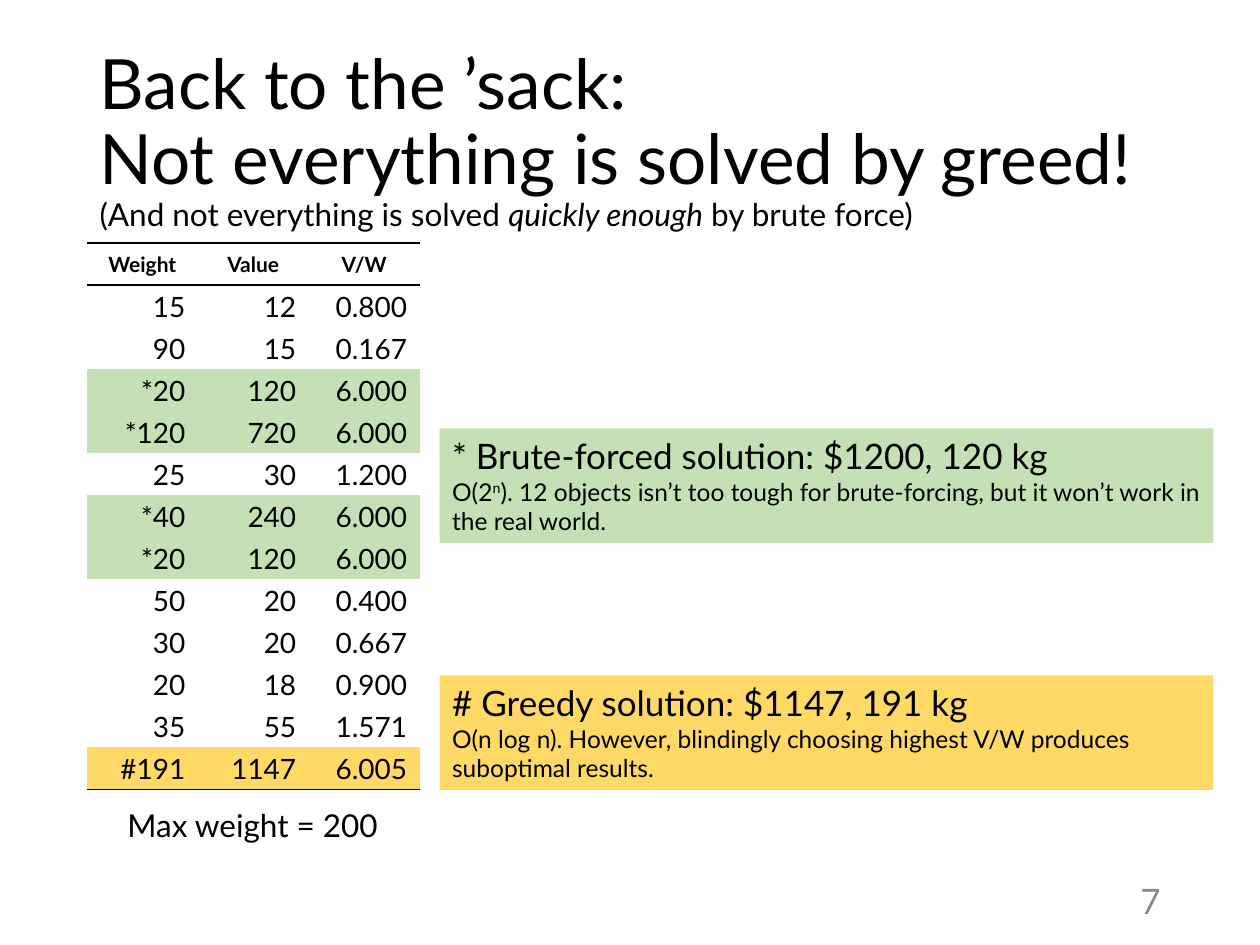
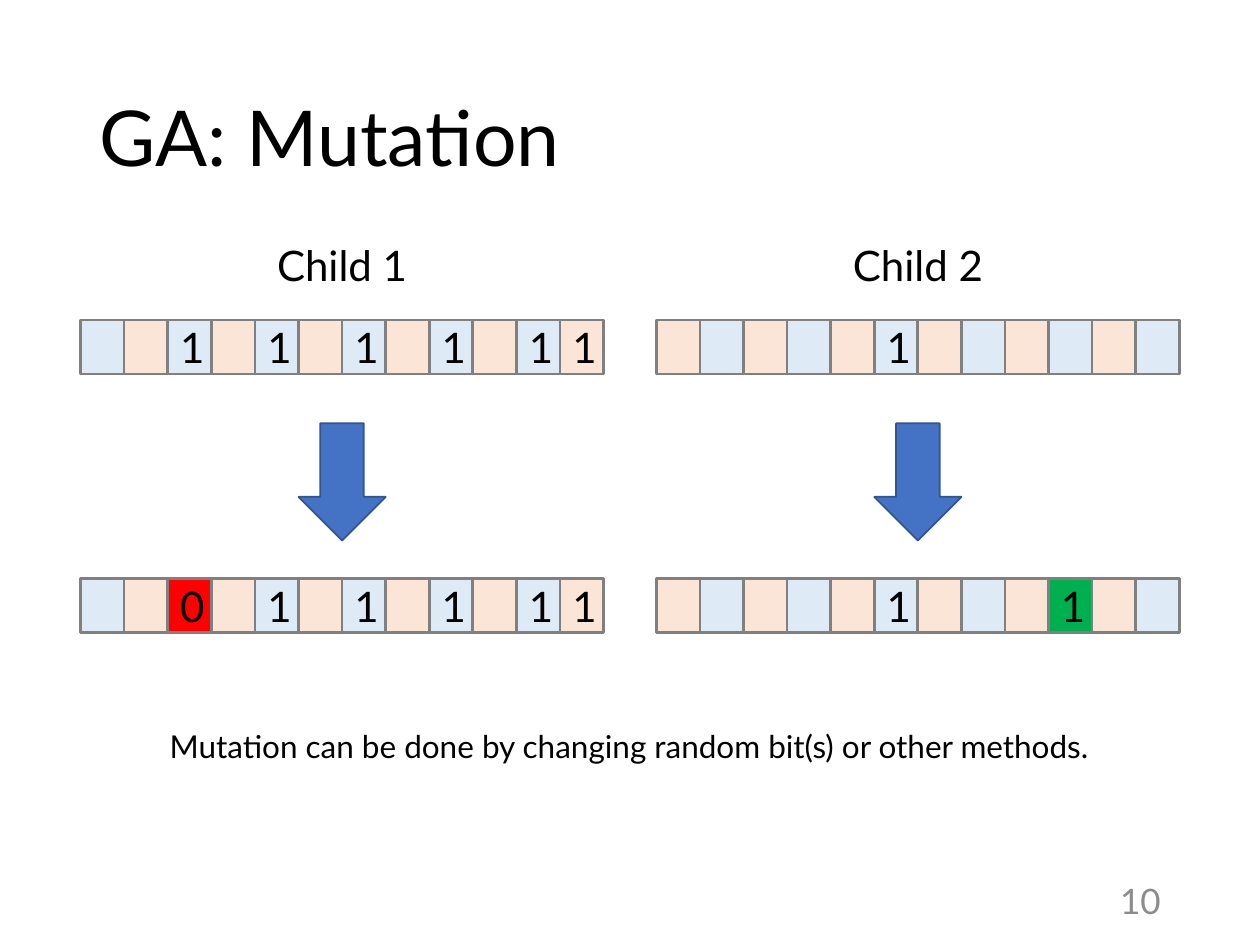
"""Builds two lecture slides on the knapsack problem and genetic mutation."""
from copy import deepcopy

from lxml.etree import SubElement
from pptx import Presentation
from pptx.dml.color import RGBColor
from pptx.enum.shapes import MSO_SHAPE
from pptx.enum.text import MSO_ANCHOR, MSO_AUTO_SIZE, PP_ALIGN
from pptx.oxml.ns import qn
from pptx.util import Inches, Pt

FONT = "Lato"
COLORS = {
    "black": "000000", "number": "8C8C8C", "green": "C5E0B4", "gold": "FFD966",
    "blue": "DEEBF7", "orange": "FBE5D6", "grid": "808080", "cleared": "FF0000",
    "set": "00B050", "arrow": "4472C4", "arrow_edge": "325491",
}
NO_GRID_STYLE = "{2D5ABB26-0587-4C30-8999-92F81FD0307C}"
ITEMS = [
    ("15", "12", "0.800"), ("90", "15", "0.167"), ("*20", "120", "6.000"),
    ("*120", "720", "6.000"), ("25", "30", "1.200"), ("*40", "240", "6.000"),
    ("*20", "120", "6.000"), ("50", "20", "0.400"), ("30", "20", "0.667"),
    ("20", "18", "0.900"), ("35", "55", "1.571"), ("#191", "1147", "6.005"),
]
MARK_FILLS = {"*": "green", "#": "gold"}
GENE_W, GENE_H = 4.15 / 12, 0.43


def color(name):
    return RGBColor.from_string(COLORS[name])


class Deck:
    """Holds the shared style and the current slide."""

    def __init__(self):
        self.prs = Presentation()
        self.prs.slide_width, self.prs.slide_height = Inches(10), Inches(7.5)
        self.s = None

    def put_text(self, tf, paragraphs, align=PP_ALIGN.LEFT, ink="black", bold=False):
        for i, pieces in enumerate(paragraphs):
            p = tf.add_paragraph() if i else tf.paragraphs[0]
            p.alignment = align
            for text, size, *mark in pieces:
                done = len(p.runs)
                if done:
                    p.add_run().text = text
                else:
                    p.text = text
                for r in p.runs[done:]:
                    r.font.name, r.font.size, r.font.bold = FONT, Pt(size), bold
                    r.font.color.rgb = color(ink)
                    r.font.italic = "italic" in mark
                    if "super" in mark:
                        r.font._element.set("baseline", "30000")
            for br in p._p.findall(qn("a:br")):
                br.append(deepcopy(p.runs[0].font._element))

    def slide(self, number, *title):
        self.s = self.prs.slides.add_slide(self.prs.slide_layouts[5])
        sp = self.s.shapes.title
        sp.left, sp.top = Inches(0.69), Inches(0.4)
        sp.width, sp.height = Inches(8.62), Inches(1.45)
        tf = sp.text_frame
        tf.auto_size, tf.vertical_anchor = MSO_AUTO_SIZE.NONE, MSO_ANCHOR.MIDDLE
        self.put_text(tf, [title])
        tf.paragraphs[0].line_spacing = 0.9
        tf = self.box(7.06, 6.95, 2.25, 0.4)
        tf.word_wrap, tf.vertical_anchor = True, MSO_ANCHOR.MIDDLE
        self.put_text(tf, [[(number, 20)]], PP_ALIGN.RIGHT, "number")

    def box(self, x, y, w, h):
        return self.s.shapes.add_textbox(
            Inches(x), Inches(y), Inches(w), Inches(h)).text_frame

    def label(self, text, x, y, w, h, size=18):
        tf = self.box(x, y, w, h)
        tf.word_wrap = False
        self.put_text(tf, [[(text, size)]], PP_ALIGN.CENTER)

    def shape(self, kind, x, y, w, h, fill, edge=None, weight=1):
        sp = self.s.shapes.add_shape(
            kind, Inches(x), Inches(y), Inches(w), Inches(h))
        sp.shadow.inherit = False
        sp.fill.solid()
        sp.fill.fore_color.rgb = color(fill)
        if edge:
            sp.line.color.rgb, sp.line.width = color(edge), Pt(weight)
        else:
            sp.line.fill.background()
        return sp.text_frame

    def note(self, y, fill, heading, *detail):
        tf = self.shape(MSO_SHAPE.RECTANGLE, 3.49, y, 6.14, 0.91, fill)
        tf.word_wrap, tf.vertical_anchor = True, MSO_ANCHOR.TOP
        self.put_text(tf, [[(heading, 20)], detail])

    def border(self, cell, side):
        ln = SubElement(cell._tc.get_or_add_tcPr(), qn(f"a:{side}"), w=str(Pt(1)))
        fill = SubElement(ln, qn("a:solidFill"))
        SubElement(fill, qn("a:srgbClr"), val=COLORS["black"])

    def table(self, rows, x, y, col_w, row_h):
        table = self.s.shapes.add_table(
            len(rows), len(rows[0]), Inches(x), Inches(y),
            Inches(col_w * len(rows[0])), Inches(row_h * len(rows))).table
        table.horz_banding = False
        table._tbl.tblPr.find(qn("a:tableStyleId")).text = NO_GRID_STYLE
        for i, values in enumerate(rows):
            table.rows[i].height = Inches(row_h)
            fill = MARK_FILLS.get(values[0][0])
            for cell, value in zip(table.rows[i].cells, values):
                cell.vertical_anchor = MSO_ANCHOR.MIDDLE
                if i == 0:
                    self.border(cell, "lnT")
                else:
                    cell.margin_top = cell.margin_bottom = 0
                if i in (0, len(rows) - 1):
                    self.border(cell, "lnB")
                if fill:
                    cell.fill.solid()
                    cell.fill.fore_color.rgb = color(fill)
                else:
                    cell.fill.background()
                self.put_text(cell.text_frame, [[(value, 16 if i else 12)]],
                              PP_ALIGN.RIGHT if i else PP_ALIGN.CENTER, bold=i == 0)

    def chromosome(self, x, y, bits, fills, mutated):
        for turn in (0, 1):
            for i in range(turn, len(bits), 2):
                tf = self.shape(MSO_SHAPE.RECTANGLE, x + i * GENE_W, y, GENE_W,
                                GENE_H, mutated.get(i, fills[turn]), "grid", 1.5)
                if bits[i] != "-":
                    tf.vertical_anchor = MSO_ANCHOR.MIDDLE
                    self.put_text(tf, [[(bits[i], 24)]], PP_ALIGN.CENTER)

    def child(self, name, x, before, after, fills, mutated):
        middle = x + 6 * GENE_W
        self.chromosome(x, 2.54, before, fills, {})
        self.label(name, middle - 0.62, 1.85, 1.24, 0.5, 24)
        self.chromosome(x, 4.59, after, fills, mutated)
        self.shape(MSO_SHAPE.DOWN_ARROW, middle - GENE_W, 3.36, 2 * GENE_W, 0.93,
                   "arrow", "arrow_edge")


def main():
    deck = Deck()

    deck.slide("7",
               ("Back to the ’sack:\vNot everything is solved by greed!\v", 39.6),
               ("(And not everything is solved ", 18),
               ("quickly enough", 18, "italic"), (" by brute force)", 18))
    deck.note(3.4, "green", "* Brute-forced solution: $1200, 120 kg",
              ("O(2", 14), ("n", 14, "super"),
              ("). 12 objects isn’t too tough for brute-forcing, "
               "but it won’t work in the real world.", 14))
    deck.note(5.36, "gold", "# Greedy solution: $1147, 191 kg",
              ("O(n log n). However, blindingly choosing highest V/W "
               "produces suboptimal results.", 14))
    deck.table([("Weight", "Value", "V/W")] + ITEMS, 0.69, 1.93, 0.88, 4.34 / 13)
    deck.label("Max weight = 200", 0.9, 6.35, 2.21, 0.4)

    deck.slide("10", ("GA: Mutation", 44))
    deck.child("Child 1", 0.64, "--1-1-1-1-11", "--0-1-1-1-11",
               ("blue", "orange"), {2: "cleared"})
    deck.child("Child 2", 5.21, "-----1------", "-----1---1--",
               ("orange", "blue"), {9: "set"})
    deck.label("Mutation can be done by changing random bit(s) or other methods.",
               1.13, 5.72, 7.73, 0.4)

    deck.prs.save("out.pptx")


if __name__ == "__main__":
    main()
